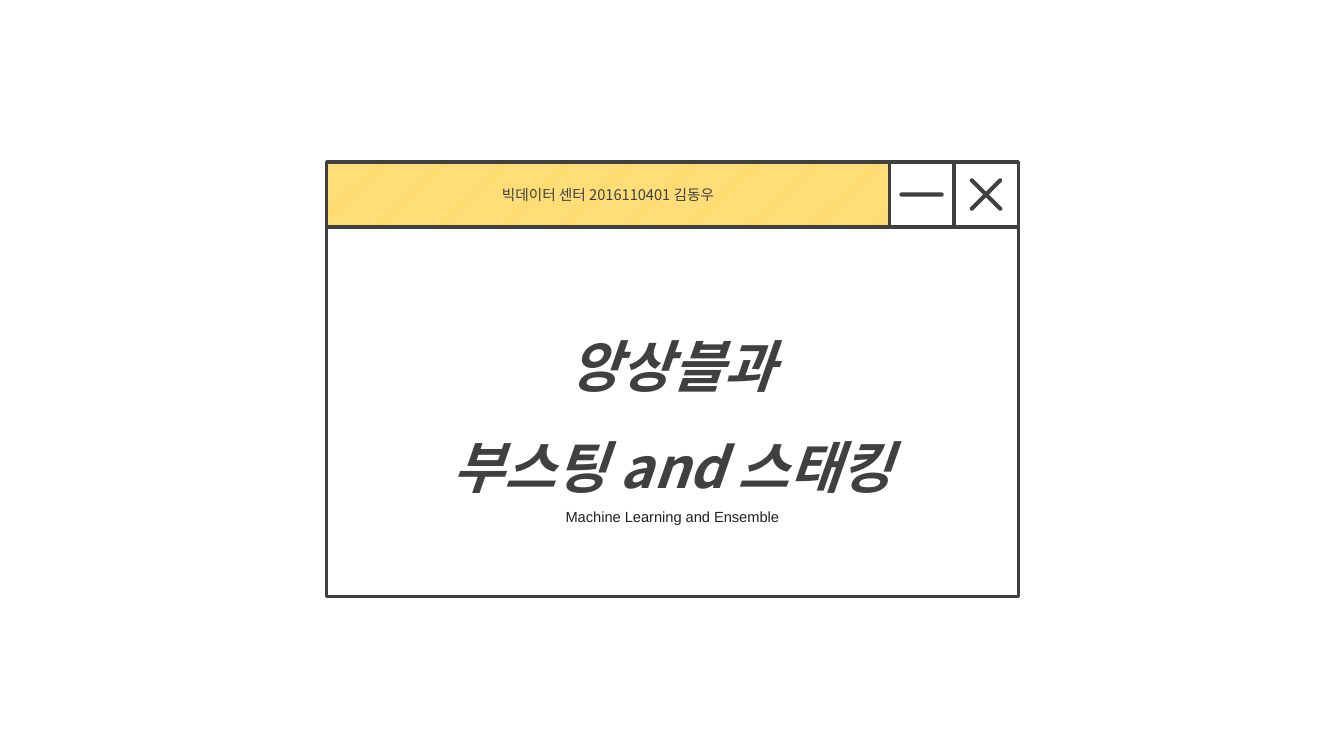
from lxml import etree
from pptx import Presentation
from pptx.dml.color import RGBColor
from pptx.enum.dml import MSO_PATTERN
from pptx.enum.shapes import MSO_SHAPE
from pptx.enum.text import MSO_ANCHOR, MSO_AUTO_SIZE, PP_ALIGN
from pptx.oxml.ns import qn
from pptx.util import Inches, Pt

RECT = MSO_SHAPE.RECTANGLE
PILL = MSO_SHAPE.ROUNDED_RECTANGLE
STRIPES = MSO_PATTERN.LIGHT_UPWARD_DIAGONAL
MIDDLE = MSO_ANCHOR.MIDDLE
NO_FIT = MSO_AUTO_SIZE.NONE
CENTER = PP_ALIGN.CENTER

INK = "404040"
WHITE = "FFFFFF"
KOREAN = "Noto Sans CJK KR"
LATIN = "Arial"
BAR_HEIGHT = 0.64
STROKE_LENGTH, STROKE_WIDTH = 0.44, 0.04


def color(hex_code):
    """Turn a hex string into a colour."""
    return RGBColor.from_string(hex_code)


def outline(shape):
    """Give a window part its dark border."""
    shape.line.color.rgb = color(INK)
    shape.line.width = Pt(2.5)


def fill_solid(shape, hex_code):
    """Fill a shape with one colour."""
    shape.fill.solid()
    shape.fill.fore_color.rgb = color(hex_code)


def add_part(slide, kind, left, top, width, height):
    """Add a shape without a shadow."""
    part = slide.shapes.add_shape(
        kind, Inches(left), Inches(top), Inches(width), Inches(height))
    part.shadow.inherit = False
    return part


def style_line(paragraph, size, font, hex_code, emphasis=False):
    """Centre a paragraph and format its runs."""
    paragraph.alignment = CENTER
    for run in paragraph.runs:
        run.font.size = Pt(size)
        run.font.name = font
        run.font.bold = run.font.italic = emphasis
        run.font.color.rgb = color(hex_code)
        east_asian = etree.Element(qn("a:ea"), typeface=font)
        run.font._element.find(qn("a:latin")).addnext(east_asian)


def add_content(slide, left, top, width, height):
    """Place the title in the window's content area."""
    title = slide.shapes.title
    title.left, title.top = Inches(left), Inches(top)
    title.width, title.height = Inches(width), Inches(height)
    fill_solid(title, WHITE)
    outline(title)
    frame = title.text_frame
    frame.text = "앙상블과\n부스팅 and 스태킹\nMachine Learning and Ensemble"
    frame.auto_size = NO_FIT
    frame.word_wrap = True
    frame.vertical_anchor = MIDDLE
    *headings, subtitle = frame.paragraphs
    for heading in headings:
        style_line(heading, 40, KOREAN, INK, emphasis=True)
    style_line(subtitle, 10.5, LATIN, "202122")
    for paragraph in frame.paragraphs:
        paragraph.line_spacing = 1.5


def add_caption_bar(slide, left, top, width, height):
    """Draw the striped bar with the author's details."""
    bar = add_part(slide, RECT, left, top, width, height)
    bar.fill.patterned()
    bar.fill.pattern = STRIPES
    bar.fill.fore_color.rgb = color("FFF2CC")
    bar.fill.back_color.rgb = color("FFD966")
    outline(bar)
    bar.text_frame.text = "빅데이터 센터 2016110401 김동우"
    bar.text_frame.vertical_anchor = MIDDLE
    style_line(bar.text_frame.paragraphs[0], 10.5, KOREAN, INK)


def add_button(slide, left, top, side, angles):
    """Draw a square button with one stroke per angle."""
    button = add_part(slide, RECT, left, top, side, side)
    fill_solid(button, WHITE)
    outline(button)
    for angle in angles:
        stroke = add_part(
            slide, PILL, left + (side - STROKE_LENGTH) / 2,
            top + (side - STROKE_WIDTH) / 2, STROKE_LENGTH, STROKE_WIDTH)
        stroke.adjustments[0] = 0.5
        stroke.rotation = angle
        fill_solid(stroke, INK)
        stroke.line.fill.background()


def add_window(slide, left, top, width, height):
    """Compose the window from content, caption bar and buttons."""
    right = left + width
    add_content(slide, left, top + BAR_HEIGHT, width, height - BAR_HEIGHT)
    add_caption_bar(slide, left, top, width - 2 * BAR_HEIGHT, BAR_HEIGHT)
    add_button(slide, right - 2 * BAR_HEIGHT, top, BAR_HEIGHT, [0])
    add_button(slide, right - BAR_HEIGHT, top, BAR_HEIGHT, [315, 45])


def main():
    """Build and save the title slide."""
    deck = Presentation()
    deck.slide_width, deck.slide_height = Inches(13.33), Inches(7.5)
    slide = deck.slides.add_slide(deck.slide_layouts[5])
    add_window(slide, 3.24, 1.61, 6.86, 4.31)
    deck.save("out.pptx")


if __name__ == "__main__":
    main()
